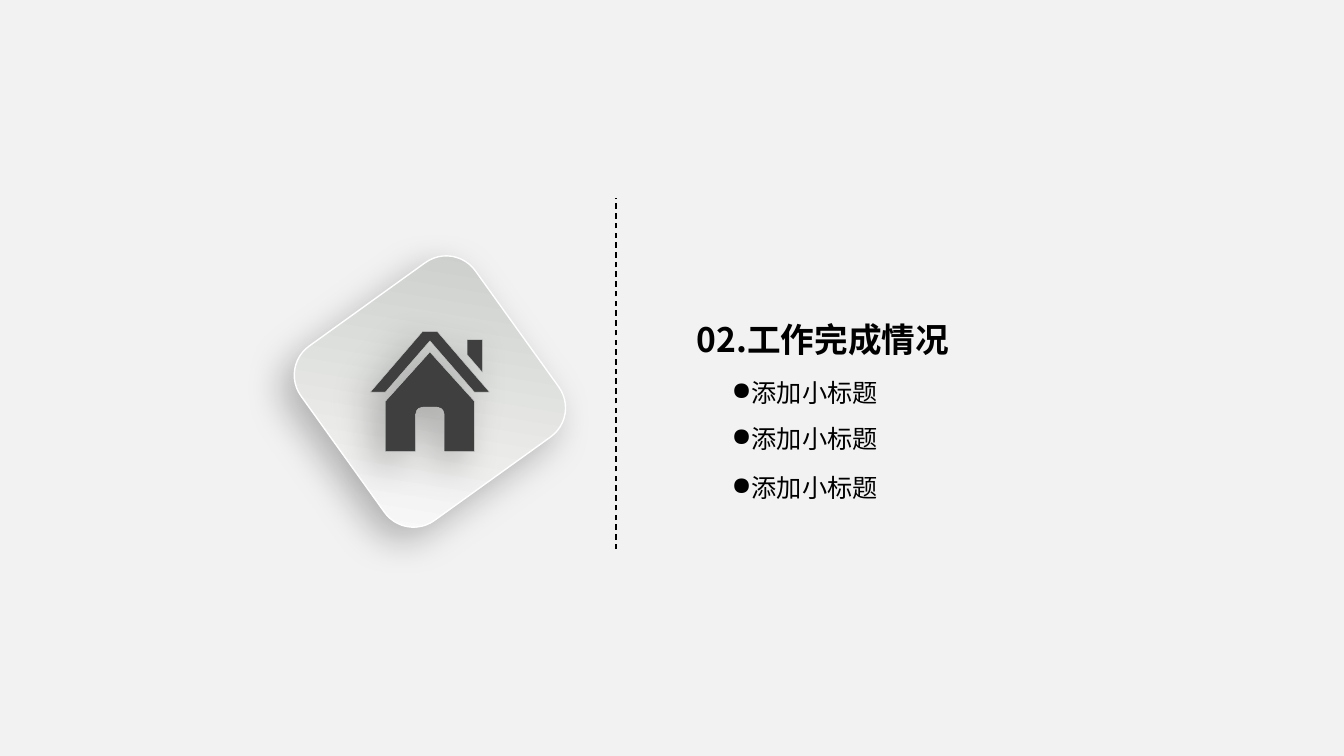
from lxml.etree import SubElement
from pptx import Presentation
from pptx.dml.color import RGBColor
from pptx.enum.dml import MSO_LINE
from pptx.enum.shapes import MSO_CONNECTOR, MSO_SHAPE
from pptx.enum.text import MSO_AUTO_SIZE, PP_ALIGN
from pptx.oxml.ns import qn
from pptx.util import Cm, Pt

BACKGROUND = RGBColor(0xF2, 0xF2, 0xF2)
TILE_DARK = RGBColor(0xC9, 0xCB, 0xC8)
TILE_LIGHT = RGBColor(0xFC, 0xFC, 0xFC)
WHITE = RGBColor(0xFF, 0xFF, 0xFF)
HOUSE_FILL = RGBColor(0x3F, 0x3F, 0x3F)
HOUSE_EDGE = RGBColor(0xCF, 0xD4, 0xD0)
BLACK = RGBColor(0, 0, 0)
FONT = "Noto Sans CJK SC"

ROOF_HALF = [(0.19, 0), (1.5, 1.52), (1.12, 1.52), (0, 0.23)]
BODY_HALF = [(0, 0.51), (1.12, 1.75), (1.12, 3.02), (0.36, 3.02),
             (0.36, 2.08), (0.33, 1.98), (0.28, 1.93), (0.18, 1.9)]
CHIMNEY = [(0.94, 0.2), (1.32, 0.2), (1.32, 1.02), (0.94, 0.58)]


def mirrored(half):
    """Complete a symmetric outline from its right half."""
    return half + [(-x, y) for x, y in reversed(half)]


def add_soft_shadow(shape):
    """Give a shape a soft shadow towards the lower left."""
    shape.shadow.inherit = False
    effects = shape._element.spPr.find(qn("a:effectLst"))
    shadow = SubElement(effects, qn("a:outerShdw"), blurRad=str(Pt(27)), dist=str(Pt(12)),
                        dir="8100000", algn="ctr", rotWithShape="0")
    color = SubElement(shadow, qn("a:srgbClr"), val=str(BLACK))
    SubElement(color, qn("a:alpha"), val="26000")


def style_text(paragraph, size, bold=False):
    """Format the runs of a paragraph."""
    for run in paragraph.runs:
        run.font.size = Pt(size)
        run.font.bold = bold
        run.font.name = FONT
        run.font.color.rgb = BLACK
        SubElement(run._r.get_or_add_rPr(), qn("a:ea"), typeface=FONT)


def add_house(shapes, center, top):
    """Draw the house symbol below a top centre point."""
    contours = [[(center + Cm(x), top + Cm(y)) for x, y in outline]
                for outline in (mirrored(BODY_HALF), CHIMNEY, mirrored(ROOF_HALF))]
    builder = shapes.build_freeform(*contours[0][0])
    builder.add_line_segments(contours[0][1:])
    for contour in contours[1:]:
        builder.move_to(*contour[0])
        builder.add_line_segments(contour[1:])
    house = builder.convert_to_shape()
    house.fill.solid()
    house.fill.fore_color.rgb = HOUSE_FILL
    house.line.color.rgb = HOUSE_EDGE
    house.line.width = Pt(0.25)
    add_soft_shadow(house)


def add_emblem(slide, left, top, side):
    """Place the tilted tile with the house in its middle."""
    shapes = slide.shapes.add_group_shape().shapes
    tile = shapes.add_shape(MSO_SHAPE.ROUNDED_RECTANGLE, left, top, side, side)
    tile.rotation = 324.3
    tile.fill.gradient()
    tile.fill.gradient_angle = 225
    for stop, color in zip(tile.fill.gradient_stops, (TILE_DARK, TILE_LIGHT)):
        stop.color.rgb = color
    tile.line.color.rgb = WHITE
    tile.line.width = Pt(1)
    add_soft_shadow(tile)
    add_house(shapes, left + side // 2, top + Cm(1.2))


def add_divider(slide, x, top, bottom):
    """Draw the dashed vertical divider."""
    divider = slide.shapes.add_connector(MSO_CONNECTOR.STRAIGHT, x, bottom, x, top)
    divider.line.color.rgb = BLACK
    divider.line.width = Pt(1)
    divider.line.dash_style = MSO_LINE.DASH
    SubElement(divider._element.spPr, qn("a:effectLst"))


def add_heading(slide, left, top, width, height, text):
    """Place the centred section heading."""
    frame = slide.shapes.add_textbox(left, top, width, height).text_frame
    frame.word_wrap = True
    frame.auto_size = MSO_AUTO_SIZE.SHAPE_TO_FIT_TEXT
    frame.text = text
    heading = frame.paragraphs[0]
    heading.alignment = PP_ALIGN.CENTER
    style_text(heading, 24, bold=True)


def add_subheading(slide, left, top, width, height, text):
    """Place one bulleted subheading."""
    frame = slide.shapes.add_textbox(left, top, width, height).text_frame
    frame.word_wrap = True
    frame.auto_size = MSO_AUTO_SIZE.SHAPE_TO_FIT_TEXT
    frame.margin_left = frame.margin_right = frame.margin_top = frame.margin_bottom = 0
    frame.text = text
    subheading = frame.paragraphs[0]
    subheading.level = 1
    properties = subheading._p.get_or_add_pPr()
    properties.set("marL", str(Cm(0.48)))
    properties.set("indent", str(Cm(-0.48)))
    SubElement(properties, qn("a:buChar"), char="●")
    style_text(subheading, 18)


def build_section_slide(deck):
    """Build the section slide."""
    slide = deck.slides.add_slide(deck.slide_layouts[6])
    slide.background.fill.solid()
    slide.background.fill.fore_color.rgb = BACKGROUND
    add_emblem(slide, Cm(8.13), Cm(7.16), Cm(5.41))
    add_heading(slide, Cm(13.84), Cm(7.92), Cm(13.79), Cm(1.27), "02.工作完成情况")
    add_divider(slide, Cm(15.52), Cm(4.98), Cm(13.84))
    for top in (9.5, 10.67, 11.91):
        add_subheading(slide, Cm(18.44), Cm(top), Cm(5.59), Cm(0.76), "添加小标题")


def main():
    """Create the deck and save it."""
    deck = Presentation()
    deck.slide_width = Cm(33.87)
    deck.slide_height = Cm(19.05)
    build_section_slide(deck)
    deck.save("out.pptx")


if __name__ == "__main__":
    main()
